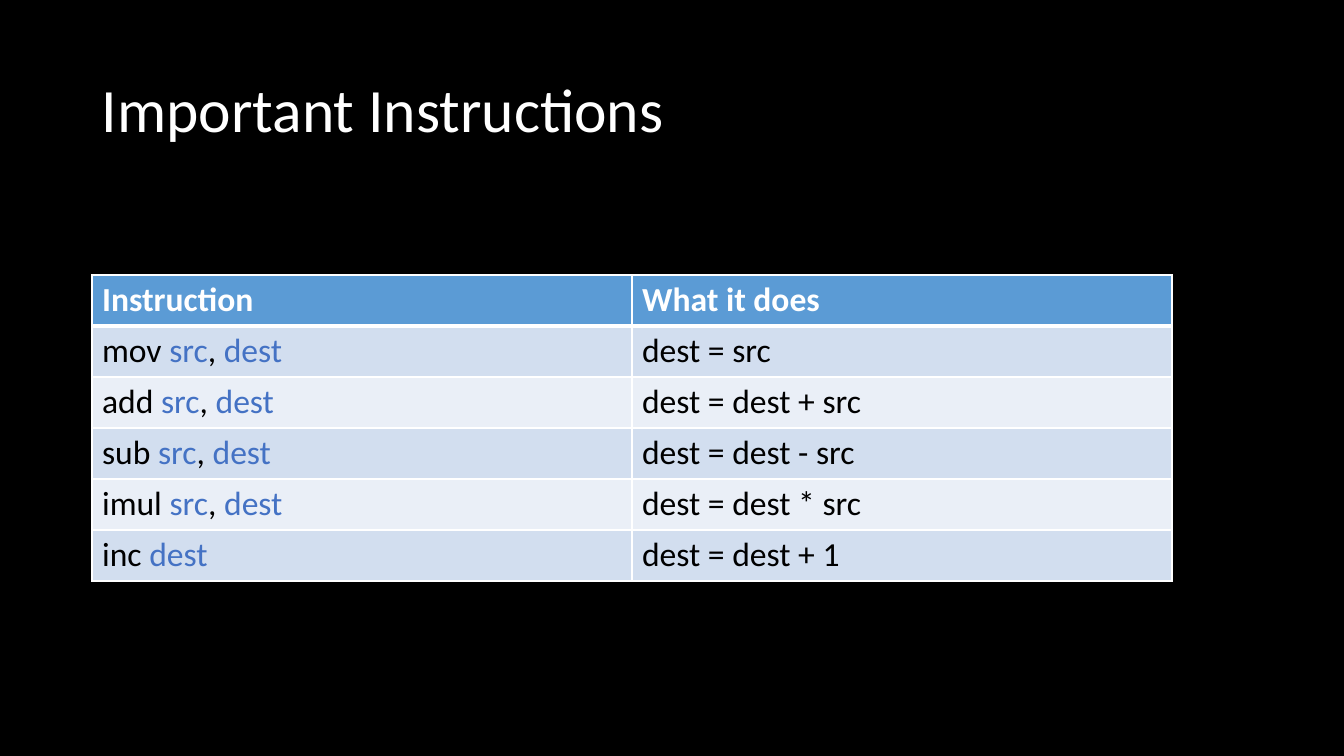
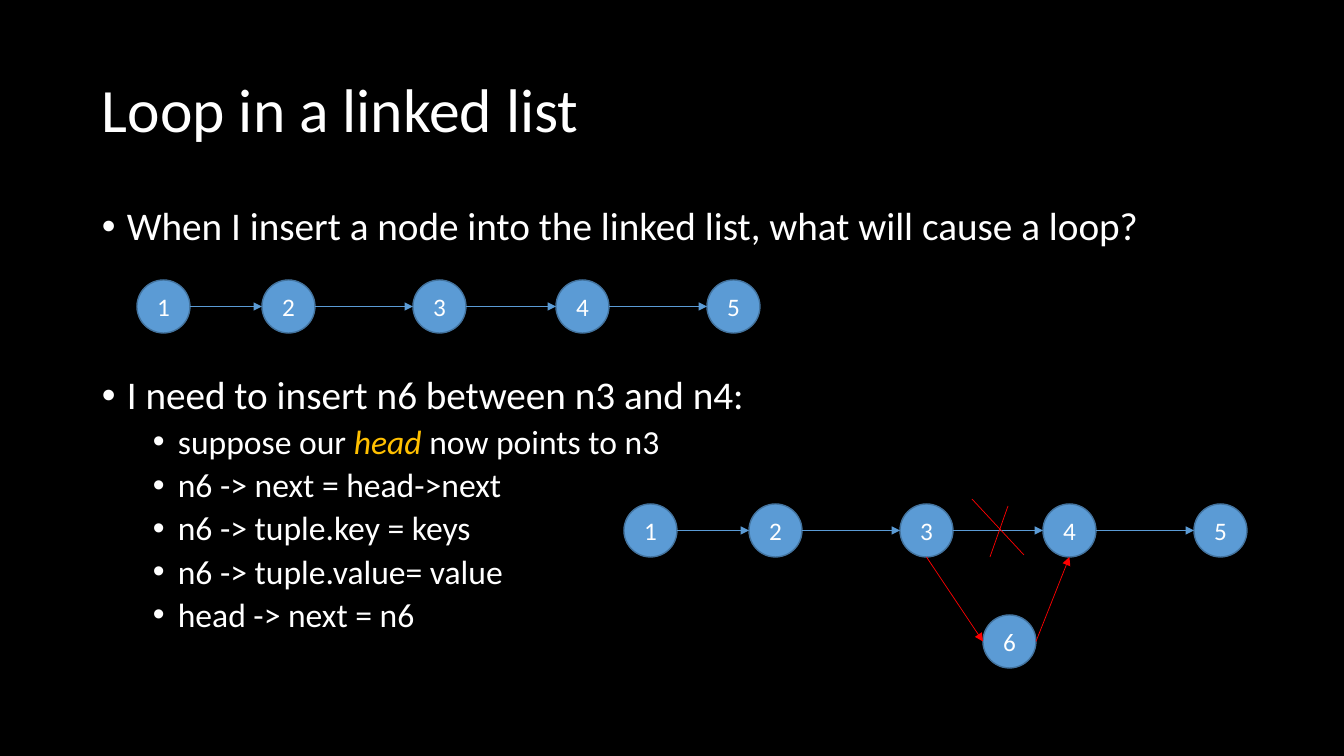
from pptx import Presentation
from pptx.dml.color import RGBColor
from pptx.enum.shapes import MSO_CONNECTOR, MSO_SHAPE
from pptx.enum.text import MSO_ANCHOR, PP_ALIGN
from pptx.oxml.ns import qn
from pptx.util import Pt
from lxml import etree

STRAIGHT, OVAL = MSO_CONNECTOR.STRAIGHT, MSO_SHAPE.OVAL
MIDDLE, CENTER = MSO_ANCHOR.MIDDLE, PP_ALIGN.CENTER

FONT = "Calibri"
BLACK, WHITE, BLUE, NODE_EDGE = "000000", "FFFFFF", "5B9BD5", "43739E"
OPERAND, RED, GOLD = "4472C4", "FF0000", "FFC000"
BANDS = ("D2DEEF", "EAEFF7")

TABLE_TITLE = "Important Instructions"
HEADINGS = ("Instruction", "What it does")
INSTRUCTIONS = [
    ("mov", ("src", "dest"), "dest = src"),
    ("add", ("src", "dest"), "dest = dest + src"),
    ("sub", ("src", "dest"), "dest = dest - src"),
    ("imul", ("src", "dest"), "dest = dest * src"),
    ("inc", ("dest",), "dest = dest + 1"),
]

LOOP_TITLE = "Loop in a linked list"
QUESTION = [(0, ["When I insert a node into the linked list, what will cause a loop?"])]
STEPS = [
    (0, ["I need to insert n6 between n3 and n4:"]),
    (1, ["suppose our ", ("head", GOLD), " now points to n3"]),
    (1, ["n6 -> next = head->next"]),
    (1, ["n6 -> tuple.key = keys"]),
    (1, ["n6 -> tuple.value= value"]),
    (1, ["head -> next = n6"]),
]
LEVELS = [{"size": 28, "before": 10, "margin": 25}, {"size": 24, "before": 5, "margin": 76}]
HANGING = 25

LEFT, CONTENT_WIDTH = 92, 1160
TABLE_TOP, COLUMN_WIDTH, ROW_HEIGHT = 275, 540, 51
NODE_SIZE = 53
NODE_OFFSETS = (0, 125, 276, 419, 570)
LIST_ORIGINS = [(137, 280), (624, 504)]
INSERTED_NODE = (983, 615)
CROSS = [((972, 499), (1024, 555)), ((990, 557), (1008, 506))]
OVAL_LEFT, OVAL_BOTTOM, OVAL_RIGHT = 2, 4, 6
SITE_FRACTIONS = {OVAL_LEFT: (0, 0.5), OVAL_BOTTOM: (0.5, 1), OVAL_RIGHT: (1, 0.5)}


def px(length):
    return round(length * 914400 / 100.8)


def color(value):
    return RGBColor.from_string(value)


def add_runs(paragraph, pieces, size, base=WHITE, bold=False):
    for piece in pieces:
        text, tint = (piece, base) if isinstance(piece, str) else piece
        run = paragraph.add_run()
        run.text = text
        font = run.font
        font.name, font.size, font.bold = FONT, Pt(size), bold
        font.italic = tint == GOLD
        font.color.rgb = color(tint)


def add_text_frame(slide, top, height):
    frame = slide.shapes.add_textbox(px(LEFT), px(top), px(CONTENT_WIDTH), px(height)).text_frame
    frame.word_wrap = True
    return frame


def add_titled_slide(deck, title):
    slide = deck.slides.add_slide(deck.slide_layouts[6])
    slide.background.fill.solid()
    slide.background.fill.fore_color.rgb = color(BLACK)
    frame = add_text_frame(slide, 40, 146)
    frame.vertical_anchor = MIDDLE
    heading = frame.paragraphs[0]
    heading.line_spacing = 0.9
    add_runs(heading, [title], 44)
    return slide


def add_bullets(slide, top, height, items):
    frame = add_text_frame(slide, top, height)
    for index, (level, pieces) in enumerate(items):
        style = LEVELS[level]
        paragraph = frame.add_paragraph() if index else frame.paragraphs[0]
        paragraph.level = level
        paragraph.line_spacing = 0.9
        paragraph.space_before = Pt(style["before"] if index else 0)
        properties = paragraph._p.get_or_add_pPr()
        properties.set("marL", str(px(style["margin"])))
        properties.set("indent", str(-px(HANGING)))
        etree.SubElement(properties, qn("a:buFont"), typeface="Arial")
        etree.SubElement(properties, qn("a:buChar"), char="•")
        add_runs(paragraph, pieces, style["size"])


def set_cell(cell, pieces, fill, ink, row):
    properties = cell._tc.get_or_add_tcPr()
    heavy_side = {0: "lnB", 1: "lnT"}.get(row)
    for side in ("lnL", "lnR", "lnT", "lnB"):
        width = Pt(3 if side == heavy_side else 1)
        border = etree.SubElement(properties, qn("a:" + side), w=str(int(width)))
        paint = etree.SubElement(border, qn("a:solidFill"))
        etree.SubElement(paint, qn("a:srgbClr"), val=WHITE)
    cell.fill.solid()
    cell.fill.fore_color.rgb = color(fill)
    add_runs(cell.text_frame.paragraphs[0], pieces, 24, ink, row == 0)


def operand_pieces(name, operands):
    pieces = [name + " "]
    for index, operand in enumerate(operands):
        if index:
            pieces.append(", ")
        pieces.append((operand, OPERAND))
    return pieces


def add_instruction_table(slide):
    rows = [[[heading] for heading in HEADINGS]]
    rows += [[operand_pieces(name, operands), [effect]] for name, operands, effect in INSTRUCTIONS]
    table = slide.shapes.add_table(
        len(rows), len(HEADINGS), px(LEFT), px(TABLE_TOP),
        px(COLUMN_WIDTH * len(HEADINGS)), px(ROW_HEIGHT * len(rows))).table
    for row, cells in enumerate(rows):
        fill, ink = (BANDS[(row - 1) % 2], BLACK) if row else (BLUE, WHITE)
        for column, pieces in enumerate(cells):
            set_cell(table.cell(row, column), pieces, fill, ink, row)


def add_node(slide, left, top, label):
    node = slide.shapes.add_shape(OVAL, px(left), px(top), px(NODE_SIZE), px(NODE_SIZE))
    node.shadow.inherit = False
    node.fill.solid()
    node.fill.fore_color.rgb = color(BLUE)
    node.line.color.rgb = color(NODE_EDGE)
    node.line.width = Pt(1)
    node.text_frame.vertical_anchor = MIDDLE
    paragraph = node.text_frame.paragraphs[0]
    paragraph.alignment = CENTER
    add_runs(paragraph, [str(label)], 18)
    return node


def add_line(slide, start, end, tint):
    line = slide.shapes.add_connector(STRAIGHT, *start, *end)
    line.line.color.rgb = color(tint)
    line.line.width = Pt(0.5)
    etree.SubElement(line._element.spPr, qn("a:effectLst"))
    return line


def site_point(node, site):
    across, down = SITE_FRACTIONS[site]
    return round(node.left + node.width * across), round(node.top + node.height * down)


def link(slide, source, source_site, target, target_site, tint=BLUE):
    arrow = add_line(slide, site_point(source, source_site), site_point(target, target_site), tint)
    arrow._connect_begin_to(source, source_site)
    arrow._connect_end_to(target, target_site)
    outline = arrow._element.spPr.find(qn("a:ln"))
    etree.SubElement(outline, qn("a:tailEnd"), type="triangle")


def add_linked_list(slide, left, top):
    nodes = [add_node(slide, left + offset, top, number)
             for number, offset in enumerate(NODE_OFFSETS, 1)]
    for source, target in zip(nodes, nodes[1:]):
        link(slide, source, OVAL_RIGHT, target, OVAL_LEFT)
    return nodes


def main():
    deck = Presentation()
    deck.slide_width, deck.slide_height = px(1344), px(756)

    add_instruction_table(add_titled_slide(deck, TABLE_TITLE))

    slide = add_titled_slide(deck, LOOP_TITLE)
    add_bullets(slide, 202, 53, QUESTION)
    add_bullets(slide, 371, 310, STEPS)
    before, after = [add_linked_list(slide, *origin) for origin in LIST_ORIGINS]
    inserted = add_node(slide, *INSERTED_NODE, len(before) + 1)
    link(slide, after[2], OVAL_BOTTOM, inserted, OVAL_LEFT, RED)
    link(slide, inserted, OVAL_RIGHT, after[3], OVAL_BOTTOM, RED)
    for start, end in CROSS:
        add_line(slide, map(px, start), map(px, end), RED)

    deck.save("out.pptx")


if __name__ == "__main__":
    main()
